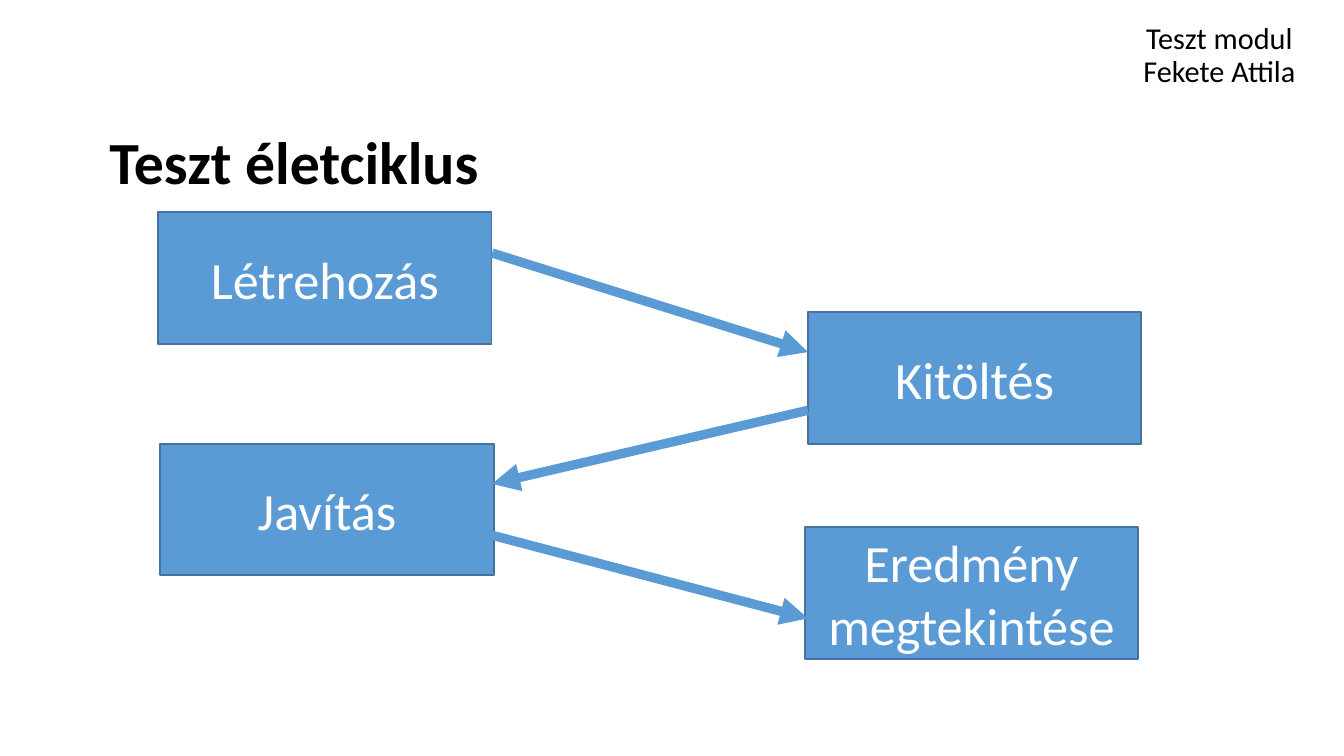
from lxml.etree import SubElement
from pptx import Presentation
from pptx.dml.color import RGBColor
from pptx.enum.shapes import MSO_CONNECTOR as Connector, MSO_SHAPE as Shape
from pptx.enum.text import MSO_ANCHOR as Anchor, MSO_AUTO_SIZE as AutoSize, PP_ALIGN as Align
from pptx.oxml.ns import qn
from pptx.util import Cm, Pt

COLORS = {"text": "000000", "box": "5B9BD5", "border": "43739E", "label": "FFFFFF"}

BOX_SIZE = (6.3, 2.49)
# Left and top of each step, in cm, from back to front
STEPS = {
    "Eredmény megtekintése": (15.21, 9.96),
    "Javítás": (3.03, 8.38),
    "Kitöltés": (15.27, 5.9),
    "Létrehozás": (2.99, 4.01),
}
# Arrows run between the facing sides of the two columns
LEFT_SIDE, RIGHT_SIDE = 9.3, 15.27
ARROWS = [
    (LEFT_SIDE, 4.78, RIGHT_SIDE, 6.65),
    (RIGHT_SIDE, 7.75, LEFT_SIDE, 9.14),
    (LEFT_SIDE, 10.11, RIGHT_SIDE, 11.68),
]


def color(name):
    return RGBColor.from_string(COLORS[name])


def write_text(shape, text, anchor, font_color, size, bold=False, spacing=None):
    frame = shape.text_frame
    frame.text = text
    frame_format = {"word_wrap": True, "auto_size": AutoSize.NONE, "vertical_anchor": anchor}
    for name, value in frame_format.items():
        setattr(frame, name, value)
    paragraph = frame.paragraphs[0]
    paragraph.alignment = Align.CENTER
    paragraph.line_spacing = spacing
    for run in paragraph.runs:
        for name, value in {"name": "Calibri", "size": Pt(size), "bold": bold}.items():
            setattr(run.font, name, value)
        run.font.color.rgb = color(font_color)


def fill_placeholder(shape, text, position, anchor, size, bold=False):
    for name, value in zip(("left", "top", "width", "height"), position):
        setattr(shape, name, Cm(value))
    write_text(shape, text, anchor, "text", size, bold, spacing=0.9)


def add_step(slide, text, position):
    box = slide.shapes.add_shape(Shape.RECTANGLE, *map(Cm, position + BOX_SIZE))
    box.shadow.inherit = False
    box.fill.solid()
    box.fill.fore_color.rgb = color("box")
    box.line.color.rgb = color("border")
    box.line.width = Pt(1)
    write_text(box, text, Anchor.MIDDLE, "label", 28)


def add_arrow(slide, ends):
    arrow = slide.shapes.add_connector(Connector.STRAIGHT, *map(Cm, ends))
    arrow.line.color.rgb = color("box")
    arrow.line.width = Pt(5)
    SubElement(arrow.line._get_or_add_ln(), qn("a:tailEnd"), type="triangle")
    SubElement(arrow._element.spPr, qn("a:effectLst"))


def main():
    presentation = Presentation()
    presentation.slide_width, presentation.slide_height = Cm(25.4), Cm(14.28)
    slide = presentation.slides.add_slide(presentation.slide_layouts[0])

    # Module header and slide heading
    header, heading = slide.placeholders
    fill_placeholder(header, "Teszt modul\vFekete Attila", (20.9, 0.18, 4.29, 1.63),
                     Anchor.BOTTOM, 16.2)
    fill_placeholder(heading, "Teszt életciklus", (0.66, 2.39, 9.8, 1.22),
                     Anchor.TOP, 32, bold=True)

    # Life cycle steps and the arrows between them
    for text, position in STEPS.items():
        add_step(slide, text, position)
    for ends in ARROWS:
        add_arrow(slide, ends)

    presentation.save("out.pptx")


if __name__ == "__main__":
    main()
